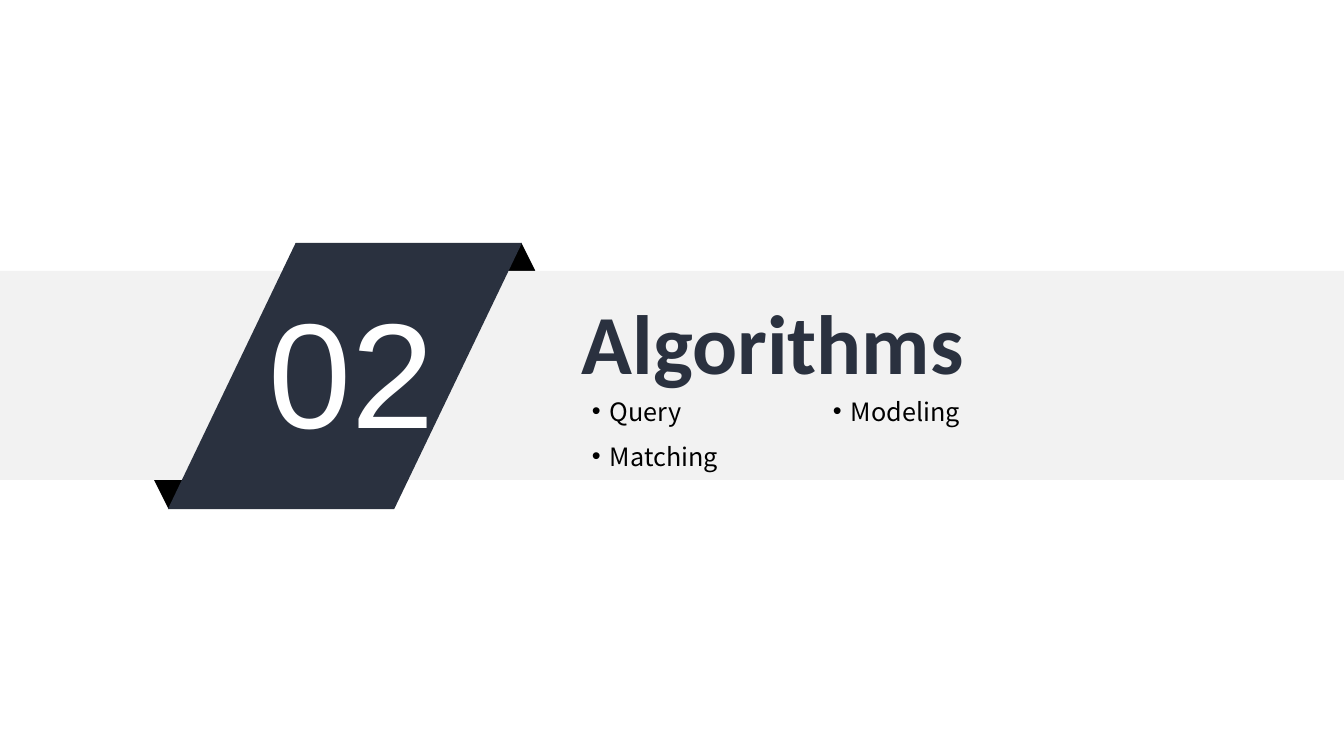
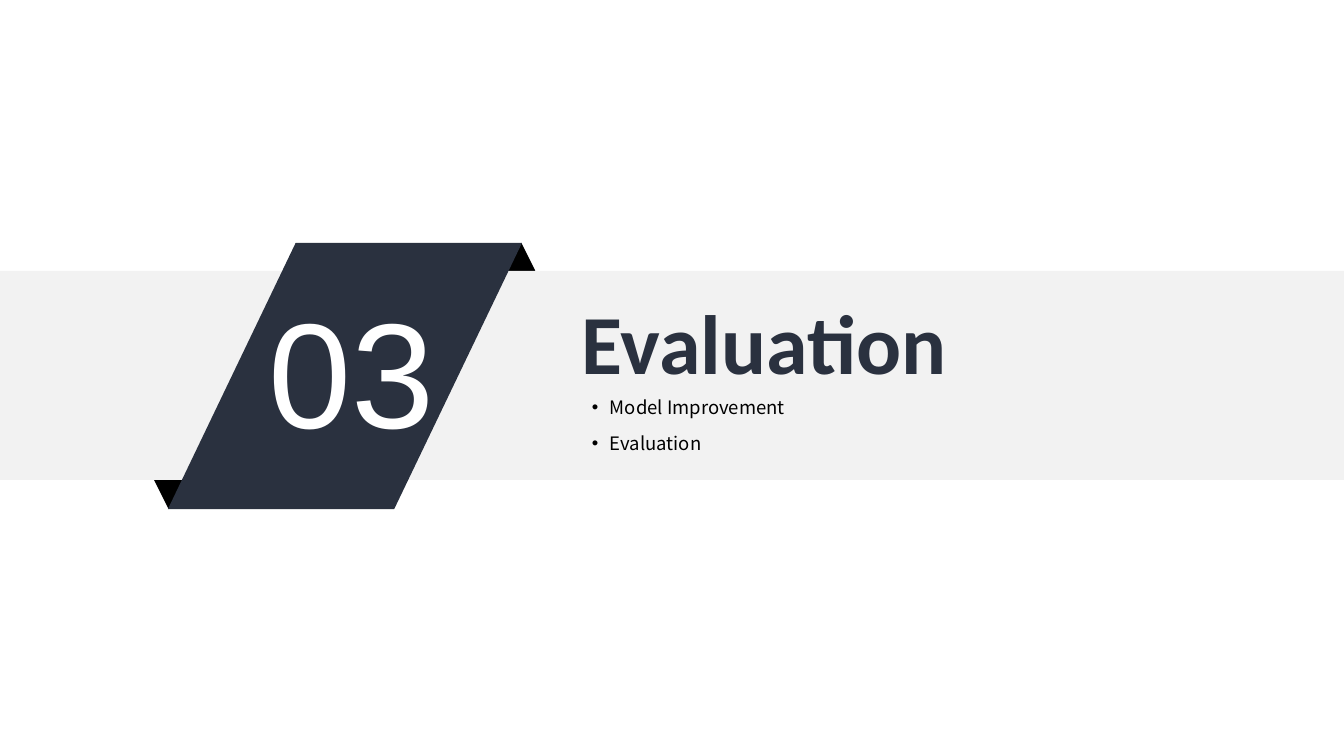
from dataclasses import dataclass

from pptx import Presentation
from pptx.dml.color import RGBColor
from pptx.enum.shapes import MSO_SHAPE
from pptx.enum.text import MSO_ANCHOR, PP_ALIGN
from pptx.oxml import parse_xml
from pptx.oxml.ns import nsdecls
from pptx.util import Emu, Pt

EMU_PER_PX = 914400 / 100.8


def px(length):
    return Emu(round(length * EMU_PER_PX))


@dataclass(frozen=True)
class Theme:
    navy: str = "2A313F"
    fold: str = "000000"
    band: str = "F2F2F2"
    white: str = "FFFFFF"
    number_font: str = "Arial"
    title_font: str = "Calibri"
    body_font: str = "Noto Sans CJK SC"
    number_size: float = 106.7
    title_size: float = 60
    topic_size: float = 18
    small_topic_size: float = 13.2


class SectionDeck:
    WIDTH, HEIGHT = 1344, 756
    TEXT_LEFT, TOPIC_TOP = 582, 391
    COLUMN_STEP = 241

    def __init__(self, theme):
        self.theme = theme
        self.deck = Presentation()
        self.deck.slide_width = px(self.WIDTH)
        self.deck.slide_height = px(self.HEIGHT)
        self.page = None

    def add_page(self):
        self.page = self.deck.slides.add_slide(self.deck.slide_layouts[6])

    def shape(self, kind, bounds, color, rotation=0):
        shape = self.page.shapes.add_shape(kind, *map(px, bounds))
        shape.shadow.inherit = False
        shape.fill.solid()
        shape.fill.fore_color.rgb = RGBColor.from_string(color)
        shape.line.fill.background()
        shape.rotation = rotation
        return shape

    def text(self, words, bounds, color, font, align=PP_ALIGN.LEFT,
             inset=(0, 0), bullet=False):
        box = self.page.shapes.add_textbox(*map(px, bounds))
        frame = box.text_frame
        across, down = map(px, inset)
        frame_format = {
            "word_wrap": True, "vertical_anchor": MSO_ANCHOR.TOP,
            "margin_left": across, "margin_right": across,
            "margin_top": down, "margin_bottom": down,
        }
        for name, value in frame_format.items():
            setattr(frame, name, value)
        para = frame.paragraphs[0]
        para.alignment = align
        if bullet:
            self.bullet(para)
        span = para.add_run()
        span.text = words
        for name, value in font.items():
            setattr(span.font, name, value)
        span.font.color.rgb = RGBColor.from_string(color)

    def bullet(self, para):
        properties = para._p.get_or_add_pPr()
        indent = px(18)
        properties.set("marL", str(indent))
        properties.set("indent", str(-indent))
        for element in ('<a:buFont {} typeface="Arial"/>',
                        '<a:buChar {} char="•"/>'):
            properties.append(parse_xml(element.format(nsdecls("a"))))

    def ribbon(self, number):
        theme = self.theme
        self.shape(MSO_SHAPE.ISOSCELES_TRIANGLE, (461, 243, 121, 122), theme.fold)
        self.shape(MSO_SHAPE.ISOSCELES_TRIANGLE, (108, 387, 121, 122), theme.fold, 180)
        self.shape(MSO_SHAPE.RECTANGLE, (0, 271, self.WIDTH, 209), theme.band)
        front = self.shape(MSO_SHAPE.PARALLELOGRAM, (168, 243, 354, 266), theme.navy)
        front.adjustments[0] = 0.48
        font = {"name": theme.number_font, "size": Pt(theme.number_size)}
        self.text(number, (254, 279, 195, 181), theme.white, font, PP_ALIGN.CENTER)

    def title(self, words):
        font = {"name": self.theme.title_font, "size": Pt(self.theme.title_size),
                "bold": True}
        self.text(words, (self.TEXT_LEFT, 291, 459, 102), self.theme.navy, font)

    def topics(self, columns, size, row_step):
        font = {"name": self.theme.body_font, "size": Pt(size)}
        for column, topics in enumerate(columns):
            for row, topic in enumerate(topics):
                bounds = (self.TEXT_LEFT + column * self.COLUMN_STEP,
                          self.TOPIC_TOP + row * row_step, 259, row_step - 4)
                self.text(topic, bounds, self.theme.fold, font,
                          inset=(10, 5), bullet=True)

    def section(self, number, title, columns, size, row_step):
        self.add_page()
        self.ribbon(number)
        self.title(title)
        self.topics(columns, size, row_step)

    def save(self):
        self.deck.save("out.pptx")


def main():
    theme = Theme()
    deck = SectionDeck(theme)
    deck.section("02", "Algorithms", [["Query", "Matching"], ["Modeling"]],
                 theme.topic_size, 45)
    deck.section("03", "Evaluation", [["Model Improvement", "Evaluation"]],
                 theme.small_topic_size, 36)
    deck.save()


if __name__ == "__main__":
    main()
